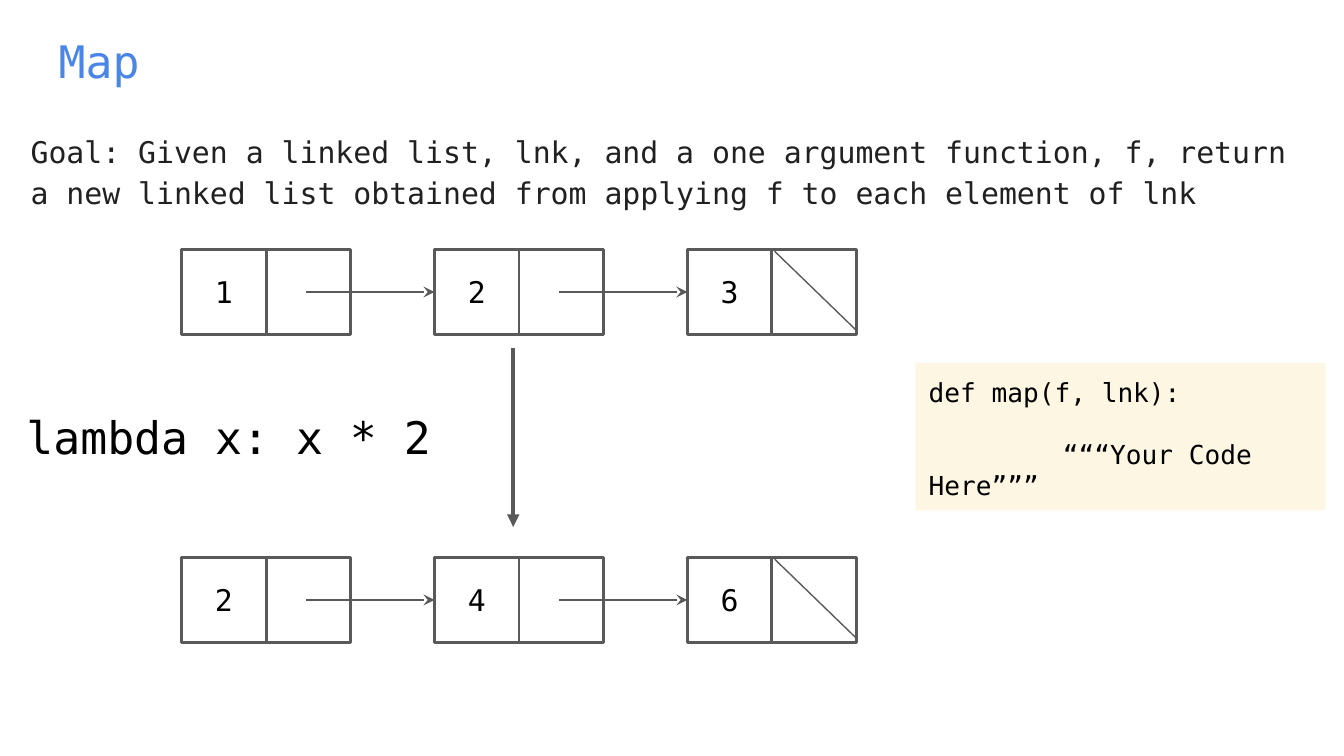
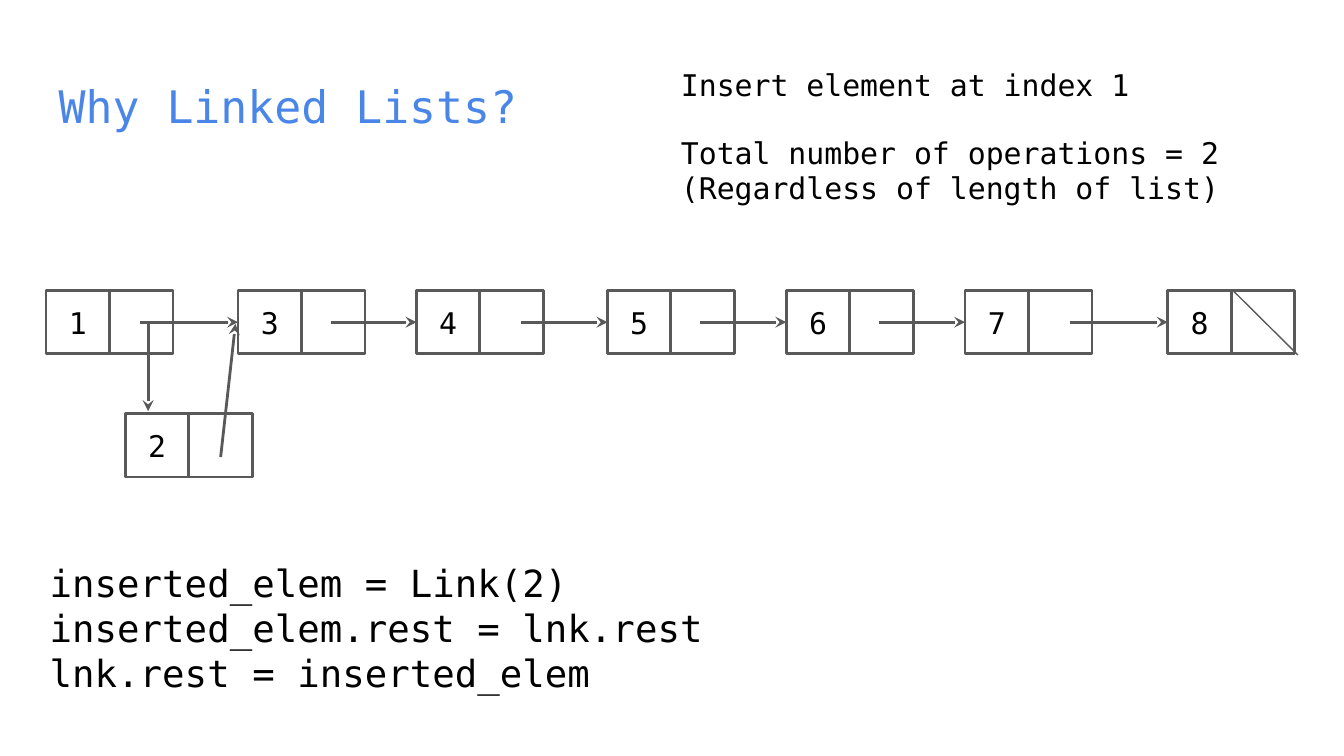
from dataclasses import dataclass

from lxml.etree import SubElement
from pptx import Presentation
from pptx.dml.color import RGBColor as RGB
from pptx.enum.shapes import MSO_CONNECTOR as LINE, MSO_SHAPE as SHAPE
from pptx.enum.text import MSO_ANCHOR as ANCHOR, PP_ALIGN as ALIGN
from pptx.oxml.ns import qn
from pptx.util import Cm, Pt


@dataclass(frozen=True)
class Theme:
    font: str = "DejaVu Sans Mono"
    title: RGB = RGB(0x4A, 0x86, 0xE8)
    body: RGB = RGB(0x21, 0x21, 0x21)
    ink: RGB = RGB(0, 0, 0)
    line: RGB = RGB(0x59, 0x59, 0x59)
    panel: RGB = RGB(0xFD, 0xF6, 0xE3)
    large: int = 24
    medium: int = 20
    normal: int = 16
    small: int = 14
    thin: float = 0.75
    stroke: float = 1.5
    thick: float = 2.25
    inset: float = 0.25


class Deck:
    def __init__(self, theme):
        self.theme = theme
        self.prs = Presentation()
        self.prs.slide_width, self.prs.slide_height = Cm(25.4), Cm(14.29)
        self.s = None

    def slide(self, title, top):
        self.s = self.prs.slides.add_slide(self.prs.slide_layouts[6])
        self.text(0.86, top, 23.67, 1.6, title, self.theme.large, self.theme.title)

    def fill_text(self, sp, text, size, color, align=ALIGN.LEFT, anchor=ANCHOR.TOP):
        tf = sp.text_frame
        tf.text = text
        tf.word_wrap = True
        tf.vertical_anchor = anchor
        tf.margin_left = tf.margin_right = Cm(self.theme.inset)
        tf.margin_top = tf.margin_bottom = Cm(self.theme.inset)
        for p in tf.paragraphs:
            p.alignment = align
            for r in p.runs:
                r.font.name = self.theme.font
                r.font.size = Pt(size)
                r.font.color.rgb = color
        return tf

    def text(self, x, y, w, h, text, size, color=None):
        sp = self.s.shapes.add_textbox(Cm(x), Cm(y), Cm(w), Cm(h))
        return self.fill_text(sp, text, size, color or self.theme.ink)

    def code_panel(self, x, y, w, h, head, body):
        sp = self.s.shapes.add_shape(SHAPE.RECTANGLE, Cm(x), Cm(y), Cm(w), Cm(h))
        sp.shadow.inherit = False
        sp.fill.solid()
        sp.fill.fore_color.rgb = self.theme.panel
        sp.line.fill.background()
        tf = self.fill_text(sp, f"{head}\n\t{body}", self.theme.small, self.theme.ink)
        p = tf.paragraphs[1]
        p.space_before = Pt(16.3)
        tabs = SubElement(p._p.get_or_add_pPr(), qn("a:tabLst"))
        SubElement(tabs, qn("a:tab"), pos=str(Cm(2.54)), algn="l")

    def line(self, x1, y1, x2, y2, width, head=None):
        c = self.s.shapes.add_connector(LINE.STRAIGHT, Cm(x1), Cm(y1), Cm(x2), Cm(y2))
        c.line.color.rgb = self.theme.line
        c.line.width = Pt(width)
        props = c.element.spPr
        if head:
            SubElement(props.find(qn("a:ln")), qn("a:tailEnd"), type=head)
        SubElement(props, qn("a:effectLst"))

    def arrow(self, x1, y1, x2, y2):
        self.line(x1, y1, x2, y2, self.theme.stroke, "stealth")

    def node(self, x, y, cell, value):
        """A value cell and a pointer cell, side by side."""
        group = self.s.shapes.add_group_shape()
        for i, text in enumerate((value, "")):
            sp = group.shapes.add_shape(
                SHAPE.RECTANGLE, Cm(x + i * cell), Cm(y), Cm(cell), Cm(cell))
            sp.shadow.inherit = False
            sp.fill.background()
            sp.line.color.rgb = self.theme.line
            sp.line.width = Pt(self.theme.stroke)
            self.fill_text(sp, text, self.theme.normal, self.theme.ink,
                           ALIGN.CENTER, ANCHOR.MIDDLE)

    def linked_list(self, y, cell, values, lefts, starts, slash):
        """starts: arrow offsets from each node; slash: ends in the last cell."""
        for value, x in zip(values, lefts):
            self.node(x, y, cell, value)
        for x, start, following in zip(lefts, starts, lefts[1:]):
            self.arrow(x + start, y + cell / 2, following, y + cell / 2)
        x1, y1, x2, y2 = slash
        x = lefts[-1] + cell
        self.line(x + x1, y + y1, x + x2, y + y2, self.theme.thin)


def map_slide(d):
    t = d.theme
    d.slide("Map", 0.38)
    goal = d.text(0.33, 2.18, 24.71, 1.9,
                  "Goal: Given a linked list, lnk, and a one argument function, f, "
                  "return a new linked list obtained from applying f to each "
                  "element of lnk", t.normal, t.body)
    goal.paragraphs[0].line_spacing = 1.15

    # Lists before and after mapping
    lefts = [3.43 + 4.78 * i for i in range(3)]
    for y, values in ((4.72, "123"), (10.54, "246")):
        d.linked_list(y, 1.6, values, lefts, [2.36] * 2, (0.05, 0.03, 1.6, 1.53))

    # Mapping step and code
    d.line(9.7, 6.58, 9.7, 9.96, t.thick, "triangle")
    d.text(0.25, 7.49, 8.15, 1.9, "lambda x: x * 2", t.large)
    d.code_panel(17.3, 6.86, 7.75, 2.79, "def map(f, lnk):", "“““Your Code Here”””")


def insert_slide(d):
    t = d.theme
    d.slide("Why Linked Lists?", 1.24)
    d.text(12.62, 1.02, 11.61, 1.6, "Insert element at index 1", t.normal)
    d.text(12.62, 2.29, 11.61, 1.6,
           "Total number of operations = 2 (Regardless of length of list)", t.normal)

    # Existing list
    d.linked_list(5.49, 1.2, "1345678",
                  [0.87, 4.5, 7.87, 11.48, 14.86, 18.24, 22.07],
                  [1.78, 1.75, 1.98, 1.75, 1.75, 1.98], (0.03, 0, 1.26, 1.22))

    # Inserted node
    d.node(2.37, 7.82, 1.2, "2")
    d.arrow(4.17, 8.64, 4.45, 6.12)
    d.arrow(2.8, 6.12, 2.8, 7.77)

    # Code
    d.text(0.69, 10.34, 24.23, 3.53,
           "inserted_elem = Link(2)\n"
           "inserted_elem.rest = lnk.rest\n"
           "lnk.rest = inserted_elem", t.medium)


def main():
    d = Deck(Theme())
    map_slide(d)
    insert_slide(d)
    d.prs.save("out.pptx")


if __name__ == "__main__":
    main()
